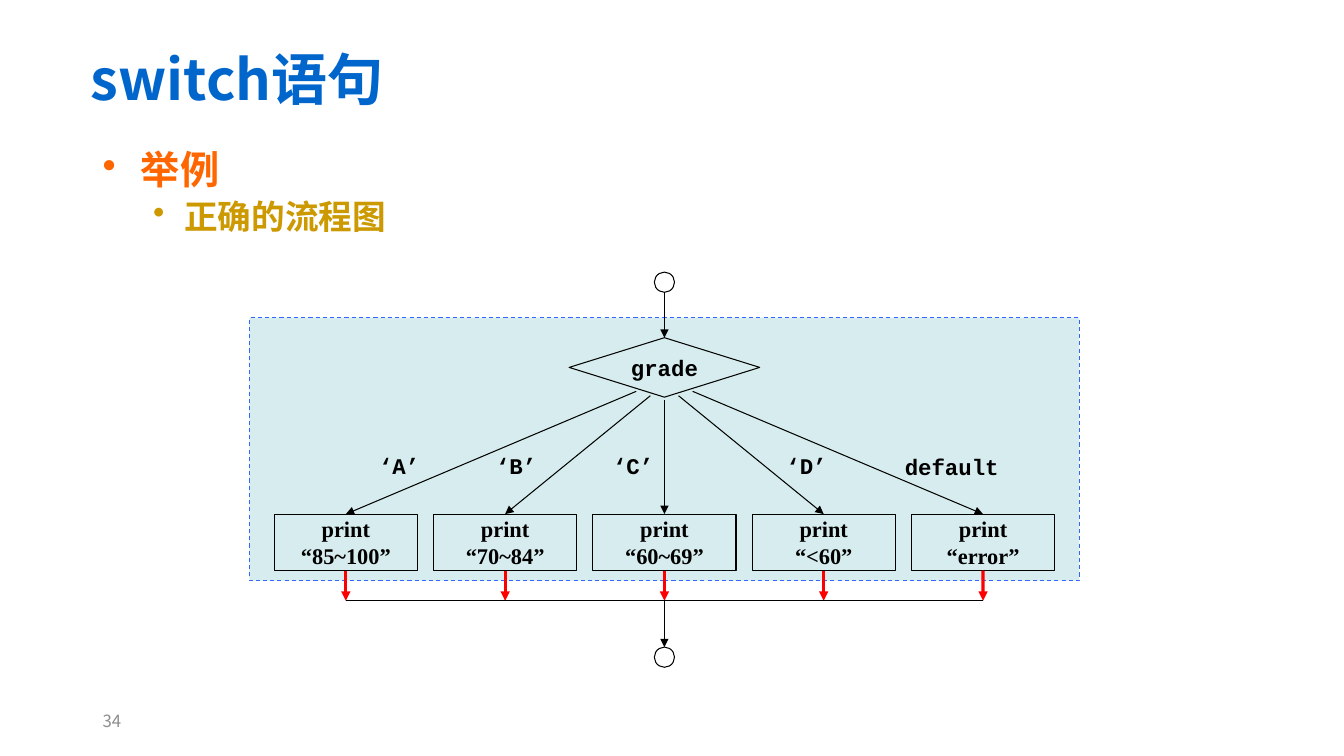
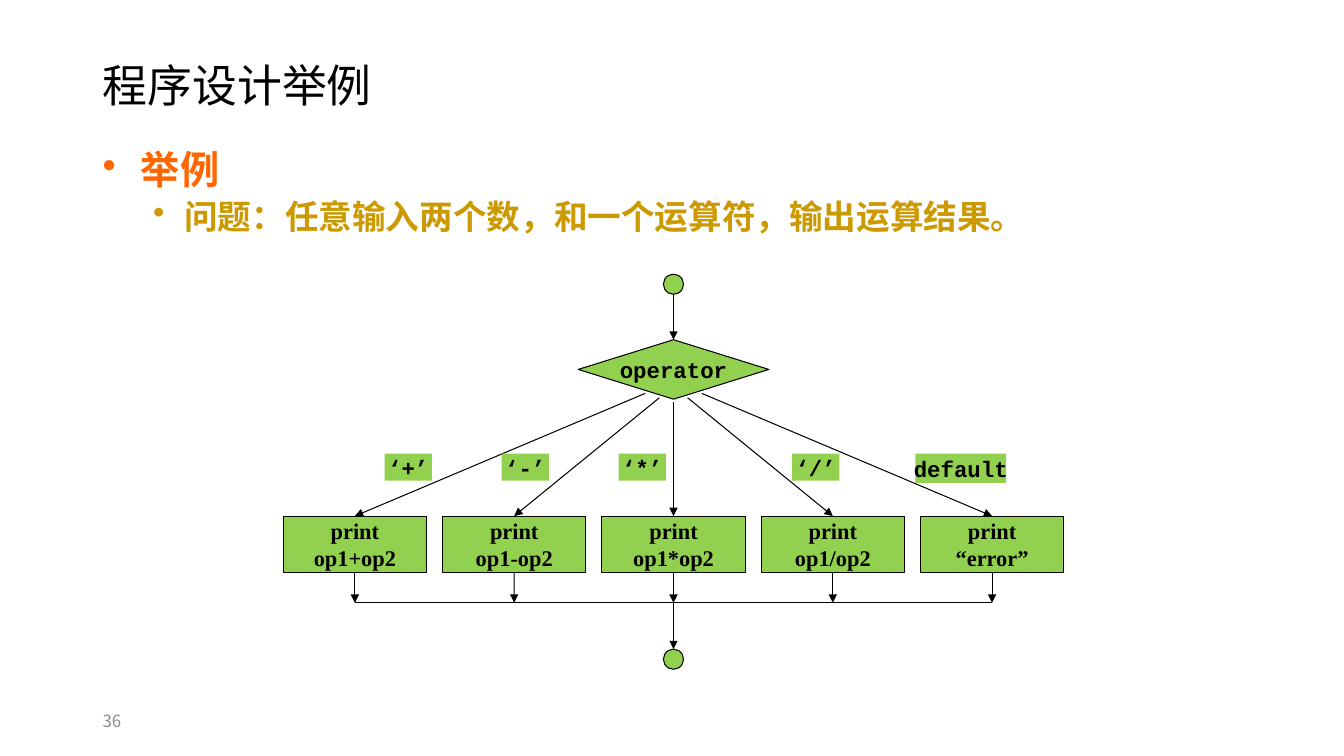
"""Build two slides that explain the switch statement with flowcharts."""
from dataclasses import dataclass
from typing import Optional

from lxml.etree import SubElement
from pptx import Presentation
from pptx.dml.color import RGBColor
from pptx.enum.dml import MSO_LINE
from pptx.enum.shapes import MSO_CONNECTOR, MSO_SHAPE
from pptx.enum.text import MSO_ANCHOR, MSO_AUTO_SIZE, PP_ALIGN
from pptx.oxml.ns import qn
from pptx.util import Inches, Pt


@dataclass(frozen=True)
class TextStyle:
    """Font, size, colour and weight of a run."""
    font: str
    size: int
    color: str
    bold: bool = True


@dataclass(frozen=True)
class Theme:
    """Shared colours, type styles and line widths."""
    ink: str = "000000"
    red: str = "FF0000"
    green: str = "92D050"
    panel: str = "D6ECEE"
    panel_edge: str = "3366FF"
    thin: float = 0.75
    thick: float = 2.25
    strong_title: TextStyle = TextStyle("Noto Sans CJK JP", 40, "0066CC")
    plain_title: TextStyle = TextStyle("Noto Sans CJK JP", 32, "000000", False)
    topic: TextStyle = TextStyle("Noto Sans CJK SC", 28, "FF6600")
    detail: TextStyle = TextStyle("Noto Sans CJK SC", 24, "CC9900")
    number: TextStyle = TextStyle("Noto Sans CJK SC", 12, "8C8C8C", False)
    code: TextStyle = TextStyle("Courier New", 16, "000000")
    action: TextStyle = TextStyle("Times New Roman", 16, "000000")


@dataclass(frozen=True)
class Grid:
    """Column pitch, part sizes and row offsets of a flowchart, in inches."""
    column: float = 1.58
    node: float = 0.2
    decision_width: float = 1.89
    decision_height: float = 0.59
    box_width: float = 1.42
    box_height: float = 0.56
    panel_width: float = 8.23
    panel_height: float = 2.61
    panel_row: float = 0.45
    decision_row: float = 0.65
    label_row: float = 1.78
    box_row: float = 2.4
    join_row: float = 3.26
    end_row: float = 3.72
    branch_step: float = 0.14
    branch_gap: float = 0.03


@dataclass(frozen=True)
class Flowchart:
    """Place, wording and look of one flowchart."""
    center: float
    top: float
    subject: str
    branches: tuple
    fill: Optional[str]
    exit_color: str
    exit_width: float
    framed: bool


THEME = Theme()
GRID = Grid()
WIDTH, HEIGHT = 13.33, 7.5
MARGIN, TEXT_WIDTH = 0.92, 11.5
LABEL_CENTERS = (-2.63, -1.47, -0.31, 1.41, 2.85)


def add_run(para, text, style):
    """Add one styled run, also naming its East Asian font."""
    span = para.add_run()
    span.text = text
    span.font.size = Pt(style.size)
    span.font.bold = style.bold
    span.font.color.rgb = RGBColor.from_string(style.color)
    span.font.name = style.font
    SubElement(span.font._element, qn("a:ea"), typeface=style.font)


def add_text_box(page, left, top, width, height):
    """Add a wrapping text box and return its frame."""
    frame = page.shapes.add_textbox(
        Inches(left), Inches(top), Inches(width), Inches(height)).text_frame
    frame.word_wrap = True
    return frame


def set_title(page, text, style, left, top):
    """Place and format the title placeholder."""
    title = page.shapes.title
    title.left, title.top = Inches(left), Inches(top)
    title.width, title.height = Inches(TEXT_WIDTH), Inches(1.45)
    frame = title.text_frame
    frame.auto_size = MSO_AUTO_SIZE.NONE
    frame.vertical_anchor = MSO_ANCHOR.MIDDLE
    para = frame.paragraphs[0]
    para.alignment = PP_ALIGN.LEFT
    para.line_spacing = 0.9
    add_run(para, text, style)


def add_bullets(page, topic, detail):
    """Add a topic bullet with a detail bullet below it."""
    frame = add_text_box(page, MARGIN, 1.45, TEXT_WIDTH, 1)
    rows = ((topic, THEME.topic, 0.38, 0.38), (detail, THEME.detail, 0.81, 0.31))
    for level, (text, style, margin, hang) in enumerate(rows):
        para = frame.add_paragraph() if level else frame.paragraphs[0]
        para.level = level
        para.line_spacing = 0.9
        para.space_before = Pt(0.2 * style.size * level)
        properties = para._p.get_or_add_pPr()
        properties.set("marL", str(Inches(margin)))
        properties.set("indent", str(-Inches(hang)))
        SubElement(properties, qn("a:buChar"), char="•")
        add_run(para, text, style)


def add_page_number(page, number):
    """Add the page number at the foot of the slide."""
    frame = add_text_box(page, MARGIN, 6.95, 3, 0.4)
    frame.vertical_anchor = MSO_ANCHOR.MIDDLE
    add_run(frame.paragraphs[0], str(number), THEME.number)


def add_block(page, kind, center, top, width, height, fill, line=THEME.ink,
              lines=(), style=THEME.code):
    """Add a shape centred on a column, with centred lines of text."""
    block = page.shapes.add_shape(
        kind, Inches(center - width / 2), Inches(top), Inches(width), Inches(height))
    block.shadow.inherit = False
    if fill:
        block.fill.solid()
        block.fill.fore_color.rgb = RGBColor.from_string(fill)
    else:
        block.fill.background()
    if line:
        block.line.color.rgb = RGBColor.from_string(line)
        block.line.width = Pt(THEME.thin)
    else:
        block.line.fill.background()
    frame = block.text_frame
    frame.word_wrap = False
    frame.vertical_anchor = MSO_ANCHOR.MIDDLE
    for index, text in enumerate(lines):
        para = frame.add_paragraph() if index else frame.paragraphs[0]
        para.alignment = PP_ALIGN.CENTER
        add_run(para, text, style)
    return block


def add_line(page, start, end, color=THEME.ink, width=THEME.thin, arrow=True):
    """Add a straight line, by default with an arrowhead at its end."""
    line = page.shapes.add_connector(
        MSO_CONNECTOR.STRAIGHT, *(Inches(value) for value in (*start, *end)))
    line.line.color.rgb = RGBColor.from_string(color)
    line.line.width = Pt(width)
    if arrow:
        SubElement(line.line._get_or_add_ln(), qn("a:tailEnd"), type="triangle")
    SubElement(line._element.spPr, qn("a:effectLst"))
    return line


def add_panel(page, chart):
    """Add the dashed panel behind a flowchart."""
    panel = add_block(page, MSO_SHAPE.RECTANGLE, chart.center,
                      chart.top + GRID.panel_row, GRID.panel_width,
                      GRID.panel_height, THEME.panel, THEME.panel_edge)
    panel.line.dash_style = MSO_LINE.DASH


def add_branch(page, chart, step, action):
    """Add one action box with the arrows into and out of it."""
    center = chart.center + step * GRID.column
    box_top = chart.top + GRID.box_row
    box = add_block(page, MSO_SHAPE.RECTANGLE, center, box_top, GRID.box_width,
                    GRID.box_height, chart.fill, lines=("print", action),
                    style=THEME.action)
    shift = step * GRID.branch_step
    slope = GRID.decision_height / GRID.decision_width
    start_row = (GRID.decision_row + GRID.decision_height + GRID.branch_gap
                 - abs(shift) * slope)
    entry = add_line(page, (chart.center + shift, chart.top + start_row),
                     (center, box_top))
    entry.end_connect(box, 0)
    leave = add_line(page, (center, box_top + GRID.box_height),
                     (center, chart.top + GRID.join_row),
                     chart.exit_color, chart.exit_width)
    leave.begin_connect(box, 2)


def add_label(page, chart, offset, text):
    """Add the case label of one branch."""
    width, height = (0.9, 0.29) if text == "default" else (0.47, 0.27)
    add_block(page, MSO_SHAPE.RECTANGLE, chart.center + offset,
              chart.top + GRID.label_row, width, height, chart.fill, None, (text,))


def add_flowchart(page, chart):
    """Draw a decision that fans out to five actions and joins again."""
    if chart.framed:
        add_panel(page, chart)
    center, top = chart.center, chart.top
    for row in (0, GRID.end_row):
        add_block(page, MSO_SHAPE.OVAL, center, top + row, GRID.node, GRID.node,
                  chart.fill)
    decision = add_block(page, MSO_SHAPE.FLOWCHART_DECISION, center,
                         top + GRID.decision_row, GRID.decision_width,
                         GRID.decision_height, chart.fill, lines=(chart.subject,))
    entry = add_line(page, (center, top + GRID.node),
                     (center, top + GRID.decision_row))
    entry.end_connect(decision, 0)
    for step, (_, action) in enumerate(chart.branches, start=-2):
        add_branch(page, chart, step, action)
    for offset, (label, _) in zip(LABEL_CENTERS, chart.branches):
        add_label(page, chart, offset, label)
    join = top + GRID.join_row
    add_line(page, (center - 2 * GRID.column, join),
             (center + 2 * GRID.column, join), arrow=False)
    add_line(page, (center, join), (center, top + GRID.end_row))


def add_page(deck, number, title, style, title_at, detail, chart):
    """Add a slide with title, bullets, flowchart and page number."""
    page = deck.slides.add_slide(deck.slide_layouts[5])
    set_title(page, title, style, *title_at)
    add_bullets(page, "举例", detail)
    add_flowchart(page, chart)
    add_page_number(page, number)


def main():
    """Build and save the deck."""
    deck = Presentation()
    deck.slide_width, deck.slide_height = Inches(WIDTH), Inches(HEIGHT)
    grades = Flowchart(
        6.59, 2.7, "grade",
        (("‘A’", "“85~100”"), ("‘B’", "“70~84”"), ("‘C’", "“60~69”"),
         ("‘D’", "“<60”"), ("default", "“error”")),
        None, THEME.red, THEME.thick, True)
    operators = Flowchart(
        6.68, 2.72, "operator",
        (("‘+’", "op1+op2"), ("‘-’", "op1-op2"), ("‘*’", "op1*op2"),
         ("‘/’", "op1/op2"), ("default", "“error”")),
        THEME.green, THEME.ink, THEME.thin, False)
    add_page(deck, 34, "switch语句", THEME.strong_title, (0.8, 0.09),
             "正确的流程图", grades)
    add_page(deck, 36, "程序设计举例", THEME.plain_title, (MARGIN, 0.15),
             "问题：任意输入两个数，和一个运算符，输出运算结果。", operators)
    deck.save("out.pptx")


if __name__ == "__main__":
    main()
